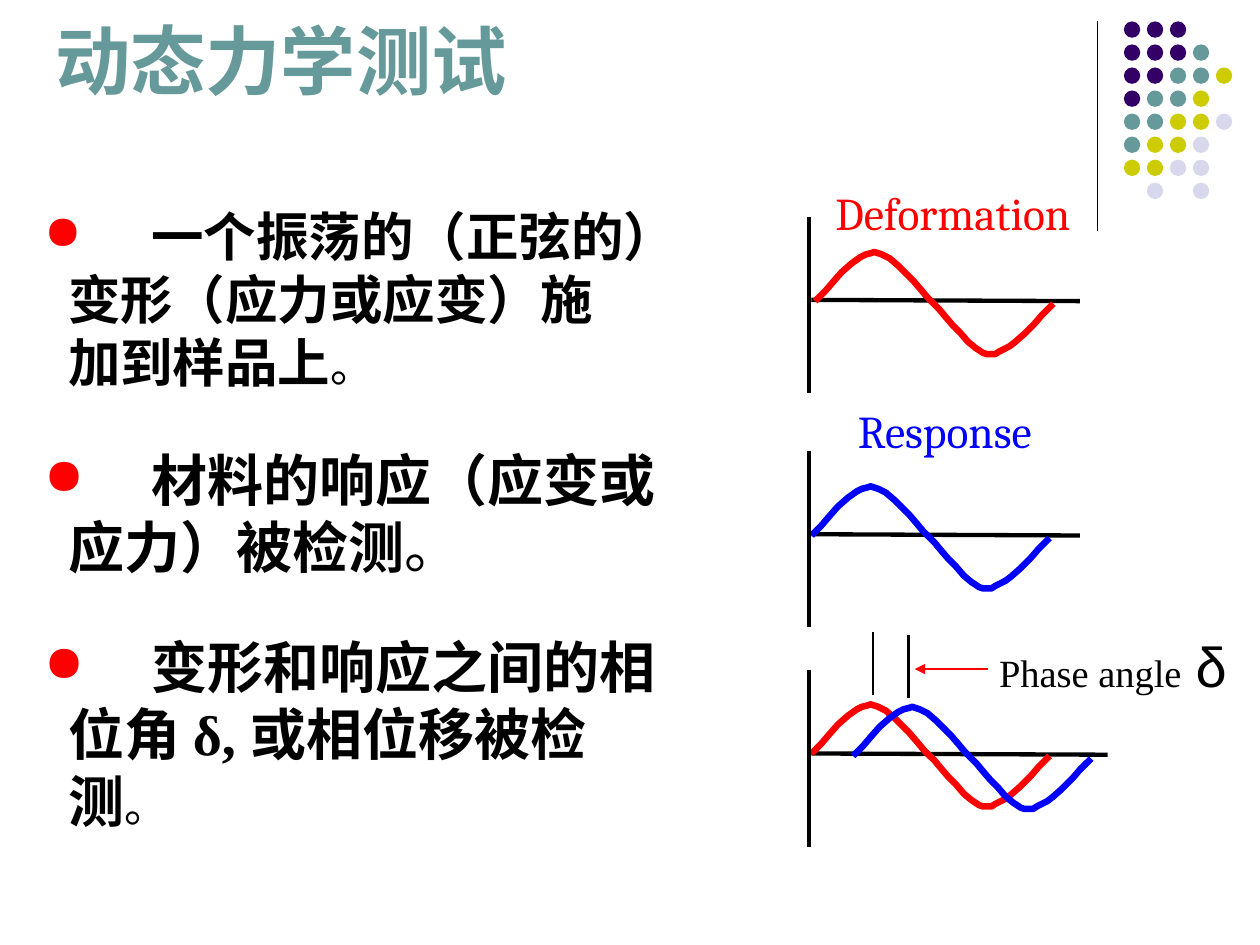
"""Build a slide on dynamic mechanical testing with three wave plots."""
from dataclasses import dataclass

from lxml.etree import SubElement
from pptx import Presentation
from pptx.dml.color import RGBColor as Rgb
from pptx.enum.shapes import MSO_CONNECTOR as Connector, MSO_SHAPE as Shape
from pptx.enum.text import MSO_ANCHOR as Anchor, MSO_AUTO_SIZE as AutoSize, PP_ALIGN as Align
from pptx.oxml.ns import qn
from pptx.util import Inches, Pt


@dataclass(frozen=True)
class Theme:
    black: str = "000000"
    red: str = "FF0000"
    blue: str = "0000FF"
    purple: str = "330066"
    teal: str = "669999"
    olive: str = "CCCC00"
    lilac: str = "D8D8EC"
    sans: str = "Arial"
    serif: str = "Times New Roman"
    label_font: str = "Cambria"
    title_size: int = 43
    point_size: int = 32
    first_point_size: int = 30
    stop_size: int = 25
    label_size: int = 26
    phase_size: int = 22


theme = Theme()


def write(para, text, font=theme.serif, size=theme.point_size, color=theme.black, bold=False):
    for index, line in enumerate(text.split("\n")):
        if index:
            para.add_line_break()
        span = para.add_run()
        span.text = line
        span.font.name = font
        span.font.size = Pt(size)
        span.font.bold = bold
        span.font.color.rgb = Rgb.from_string(color)


def draw_line(x1, y1, x2, y2, width, color=theme.black):
    line = page.shapes.add_connector(
        Connector.STRAIGHT, Inches(x1), Inches(y1), Inches(x2), Inches(y2))
    line.line.width = Pt(width)
    line.line.color.rgb = Rgb.from_string(color)
    SubElement(line._element.spPr, qn("a:effectLst"))
    return line


deck = Presentation()
deck.slide_width, deck.slide_height = Inches(10), Inches(7.5)
page = deck.slides.add_slide(deck.slide_layouts[5])

title = page.shapes.title
title.left, title.top, title.width, title.height = (Inches(n) for n in (0.44, 0.08, 8.89, 0.75))
frame = title.text_frame
frame.margin_left = frame.margin_right = frame.margin_top = frame.margin_bottom = 0
frame.vertical_anchor = Anchor.BOTTOM
frame.auto_size = AutoSize.NONE
frame.paragraphs[0].alignment = Align.LEFT
write(frame.paragraphs[0], "动态力学测试", theme.sans, theme.title_size, theme.teal, True)

draw_line(8.71, 0.17, 8.71, 1.83, 0.75)
dot_colors = {"P": theme.purple, "T": theme.teal, "O": theme.olive, "L": theme.lilac}
dot_rows = ["PPP", "PPPT", "PPTTO", "PTTO", "TTOOL", "TOOL", "OOLL", ".L.L"]
for row, letters in enumerate(dot_rows):
    for column, letter in enumerate(letters):
        if letter in dot_colors:
            dot = page.shapes.add_shape(
                Shape.OVAL, Inches(8.92 + column * 0.73 / 4), Inches(0.17 + row * 1.28 / 7),
                Inches(0.13), Inches(0.13))
            dot.shadow.inherit = False
            dot.fill.solid()
            dot.fill.fore_color.rgb = Rgb.from_string(dot_colors[letter])
            dot.line.fill.background()

wave_points = [
    (0, 0), (0.03, -0.03), (0.08, -0.08), (0.14, -0.15), (0.21, -0.23), (0.29, -0.3),
    (0.36, -0.35), (0.4, -0.37), (0.44, -0.38), (0.47, -0.39), (0.5, -0.38), (0.53, -0.37),
    (0.59, -0.34), (0.66, -0.28), (0.72, -0.22), (0.78, -0.16), (0.84, -0.09), (0.89, -0.03),
    (0.94, 0.02), (0.98, 0.06), (1.03, 0.12), (1.09, 0.19), (1.15, 0.25), (1.21, 0.32),
    (1.27, 0.37), (1.3, 0.39), (1.33, 0.41), (1.36, 0.42), (1.4, 0.42), (1.43, 0.42),
    (1.46, 0.4), (1.5, 0.38), (1.54, 0.36), (1.58, 0.33), (1.66, 0.26), (1.74, 0.18),
    (1.8, 0.11), (1.85, 0.06), (1.89, 0.02)]
plots = [
    (2.38, 8.57, [(6.47, 2.39, theme.red)]),
    (4.24, 8.57, [(6.44, 4.25, theme.blue)]),
    (5.98, 8.79, [(6.44, 5.98, theme.red), (6.77, 6, theme.blue)])]
for axis_y, axis_end, waves in plots:
    draw_line(6.44, axis_y, axis_end, axis_y + 0.01, 2.47)
    for x, y, color in waves:
        points = [(Inches(x + dx), Inches(y + dy)) for dx, dy in wave_points]
        builder = page.shapes.build_freeform(*points[0])
        builder.add_line_segments(points[1:], close=False)
        wave = builder.convert_to_shape()
        wave.shadow.inherit = False
        wave.fill.background()
        wave.line.width = Pt(3.75)
        wave.line.color.rgb = Rgb.from_string(color)
    draw_line(6.42, axis_y + 0.74, 6.42, axis_y - 0.66, 2.47)

for x, y in [(6.93, 5.02), (7.21, 5.04)]:
    draw_line(x, y, x, y + 0.5, 1.47)
arrow = draw_line(7.26, 5.31, 7.84, 5.31, 1.47, theme.red)
SubElement(arrow.line._get_or_add_ln(), qn("a:headEnd"), type="triangle")

labels = [
    (6.63, 1.47, 2.03, 0.45,
     [("Deformation", theme.label_font, theme.label_size, theme.red)]),
    (6.81, 3.2, 2.03, 0.45,
     [("Response", theme.label_font, theme.label_size, theme.blue)]),
    (7.93, 5.01, 2.03, 0.55,
     [("Phase angle", theme.serif, theme.phase_size), (" ",), ("δ", theme.sans)])]
for *place, spans in labels:
    box = page.shapes.add_textbox(*(Inches(n) for n in place))
    frame = box.text_frame
    frame.word_wrap = True
    frame.margin_left = frame.margin_right = frame.margin_top = frame.margin_bottom = 0
    for span_format in spans:
        write(frame.paragraphs[0], *span_format)

points_text = [
    ("\t一个振荡的（正弦的）\n变形（应力或应变）施\n加到样品上", theme.first_point_size, theme.stop_size),
    ("\t材料的响应（应变或\n应力）被检测", theme.point_size, theme.point_size),
    ("\t变形和响应之间的相\n位角 δ, 或相位移被检\n测", theme.point_size, theme.stop_size)]
body = page.shapes.add_textbox(Inches(0.35), Inches(1.62), Inches(5.23), Inches(4.82))
frame = body.text_frame
frame.word_wrap = True
frame.margin_left = frame.margin_right = frame.margin_top = frame.margin_bottom = 0
for index, (text, size, stop_size) in enumerate(points_text):
    para = frame.add_paragraph() if index else frame.paragraphs[0]
    props = para._p.get_or_add_pPr()
    props.set("marL", str(Inches(0.19)))
    props.set("indent", str(-Inches(0.19)))
    SubElement(SubElement(props, qn("a:buClr")), qn("a:srgbClr"), val=theme.red)
    SubElement(props, qn("a:buSzPct"), val="90000")
    SubElement(props, qn("a:buChar"), char="●")
    tabs = SubElement(props, qn("a:tabLst"))
    SubElement(tabs, qn("a:tab"), pos=str(Inches(0.85)), algn="l")
    if index:
        para.space_before = Pt(30)
    write(para, text, size=size, bold=True)
    write(para, "。", font=theme.sans, size=stop_size)

deck.save("out.pptx")
